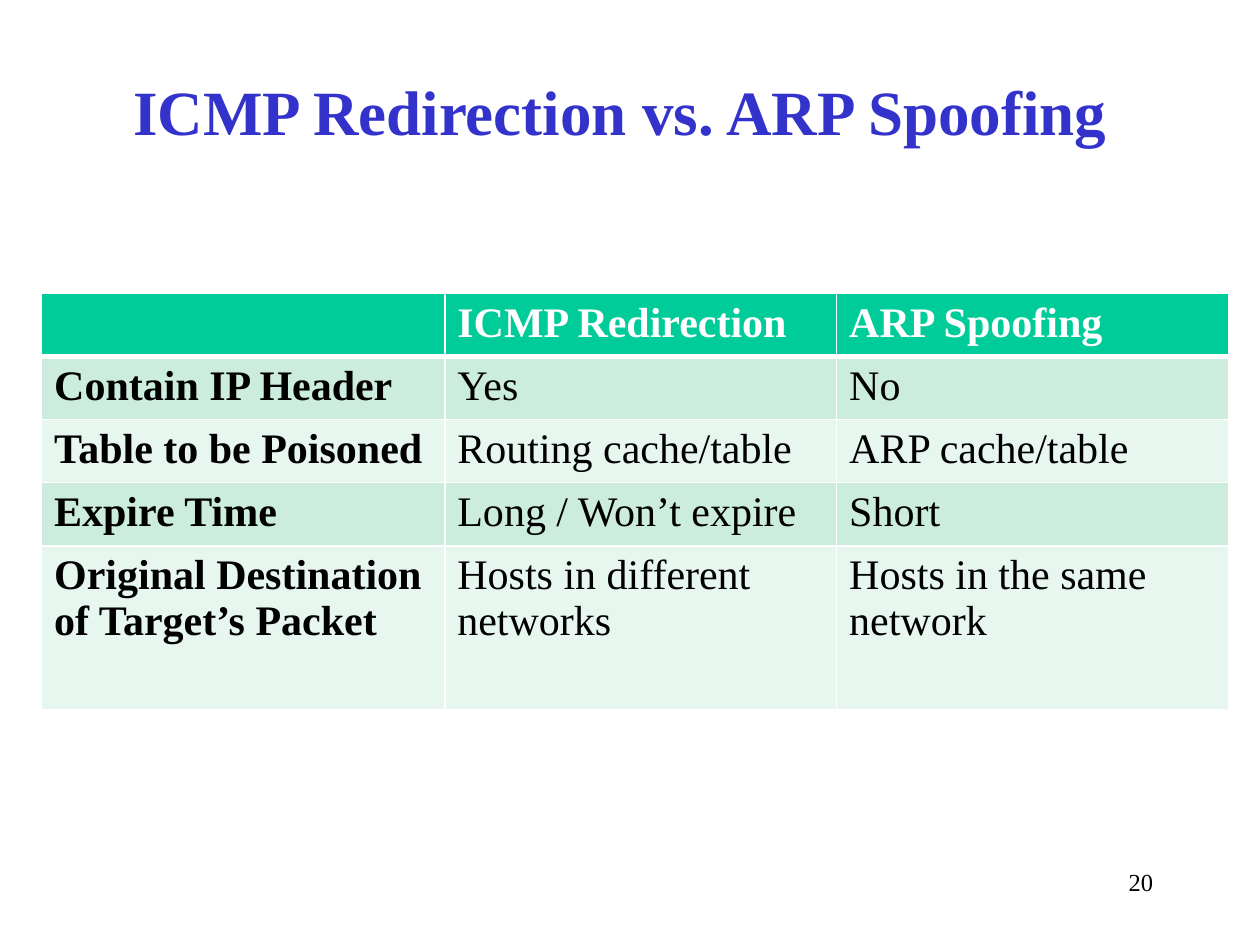
from typing import NamedTuple

from lxml import etree
from pptx import Presentation
from pptx.dml.color import RGBColor
from pptx.enum.text import MSO_ANCHOR, PP_ALIGN
from pptx.oxml.ns import qn
from pptx.util import Inches, Pt

LEFT, CENTER, RIGHT = PP_ALIGN.LEFT, PP_ALIGN.CENTER, PP_ALIGN.RIGHT
TOP, MIDDLE = MSO_ANCHOR.TOP, MSO_ANCHOR.MIDDLE
FONT = "Times New Roman"
WHITE, BLACK, BLUE = "FFFFFF", "000000", "3333CC"
HEAD, BANDS = "00CC99", ("CCECDE", "E7F6EF")

COLS = (3.2, 3.11, 3.11)
HEIGHTS = (0.5, 0.5, 0.5, 0.5, 1.3)
ROWS = (
    ("", "ICMP Redirection", "ARP Spoofing"),
    ("Contain IP Header", "Yes", "No"),
    ("Table to be Poisoned", "Routing cache/table", "ARP cache/table"),
    ("Expire Time", "Long / Won’t expire", "Short"),
    ("Original Destination of Target’s Packet",
     "Hosts in different networks", "Hosts in the same network"),
)


class Style(NamedTuple):
    size: int
    color: str
    bold: bool = False
    align: PP_ALIGN = LEFT


class Label(NamedTuple):
    text: str
    left: float
    top: float
    width: float
    height: float
    style: Style
    anchor: MSO_ANCHOR = TOP


LABELS = (
    Label("20", 7.17, 6.83, 2.08, 0.5, Style(14, BLACK, align=RIGHT)),
    Label("ICMP Redirection vs. ARP Spoofing", 0.67, 0.25, 8.5, 1.25,
          Style(36, BLUE, True, CENTER), MIDDLE),
)


def rgb(code: str) -> RGBColor:
    return RGBColor.from_string(code)


def write(frame, text: str, style: Style) -> None:
    frame.text = text
    frame.word_wrap = True
    para = frame.paragraphs[0]
    para.alignment = style.align
    for run in para.runs:
        font = run.font
        font.name, font.size, font.bold = FONT, Pt(style.size), style.bold
        font.color.rgb = rgb(style.color)


def add_label(slide, label: Label) -> None:
    box = slide.shapes.add_textbox(
        Inches(label.left), Inches(label.top),
        Inches(label.width), Inches(label.height))
    write(box.text_frame, label.text, label.style)
    box.text_frame.vertical_anchor = label.anchor


def add_edges(cell, top: int, bottom: int) -> None:
    """Give a cell white borders, with top and bottom widths in points."""
    props = cell._tc.get_or_add_tcPr()
    for side, width in (("L", 1), ("R", 1), ("T", top), ("B", bottom)):
        line = etree.SubElement(props, qn(f"a:ln{side}"), w=str(Pt(width)))
        fill = etree.SubElement(line, qn("a:solidFill"))
        etree.SubElement(fill, qn("a:srgbClr"), val=WHITE)


def add_grid(slide) -> None:
    table = slide.shapes.add_table(
        len(ROWS), len(COLS), Inches(0.33), Inches(2.33),
        Inches(sum(COLS)), Inches(sum(HEIGHTS))).table
    for col, width in zip(table.columns, COLS):
        col.width = Inches(width)
    for r, (texts, height) in enumerate(zip(ROWS, HEIGHTS)):
        table.rows[r].height = Inches(height)
        shade = BANDS[(r - 1) % 2] if r else HEAD
        for c, text in enumerate(texts):
            cell = table.cell(r, c)
            bold = r == 0 or c == 0
            write(cell.text_frame, text,
                  Style(24, BLACK if r else WHITE, bold))
            add_edges(cell, 3 if r == 1 else 1, 1 if r else 3)
            cell.fill.solid()
            cell.fill.fore_color.rgb = rgb(shade)


def main() -> None:
    deck = Presentation()
    deck.slide_width, deck.slide_height = Inches(10), Inches(7.5)
    slide = deck.slides.add_slide(deck.slide_layouts[6])
    for label in LABELS:
        add_label(slide, label)
    add_grid(slide)
    deck.save("out.pptx")


if __name__ == "__main__":
    main()
